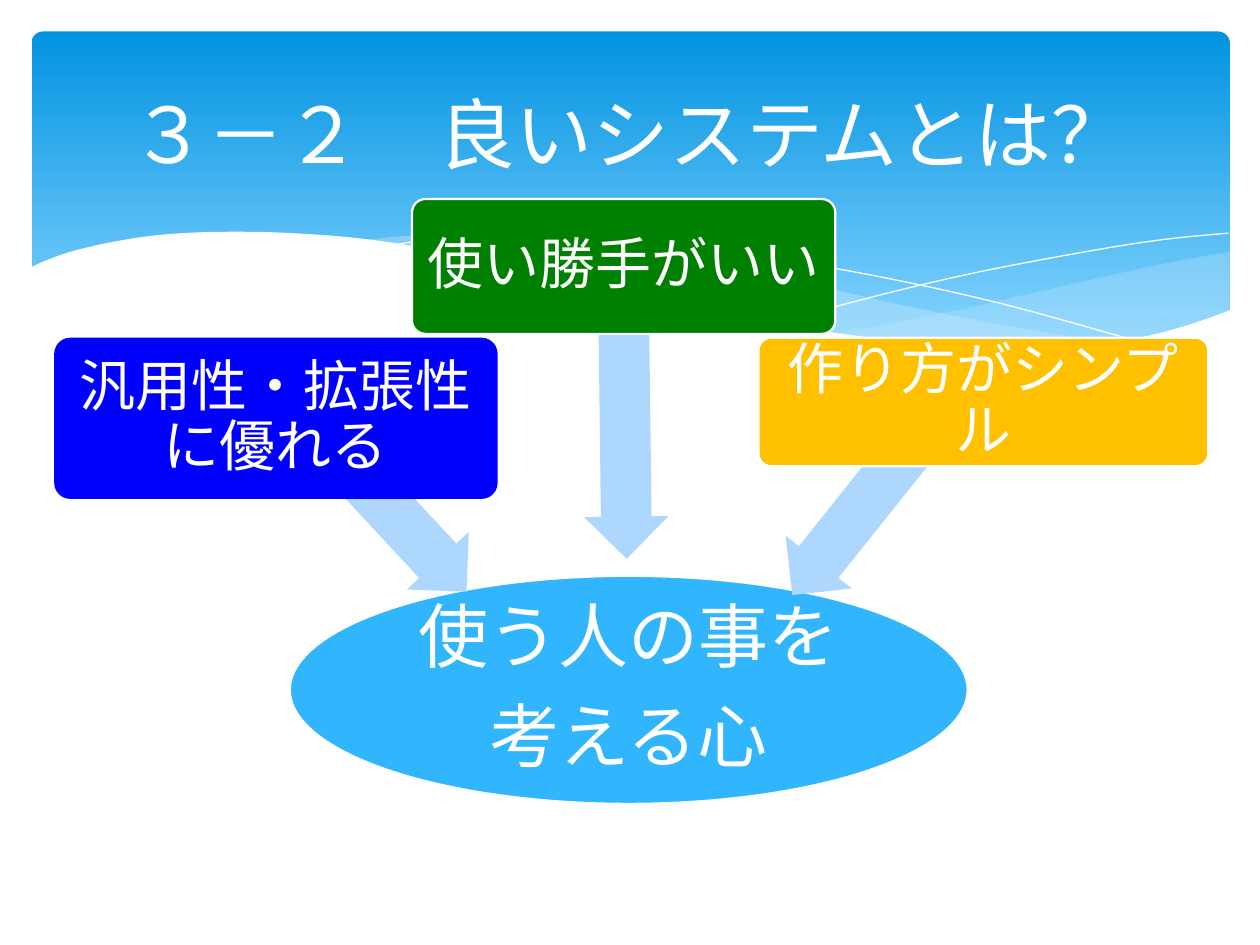
from lxml import etree
from pptx import Presentation
from pptx import util as u
from pptx.dml.color import RGBColor
from pptx.enum import shapes, text
from pptx.oxml.ns import qn

WHITE = "FFFFFF"
SKY = "C6E7FC"
ARROW = "AED7FE"


def rgb(value):
    return RGBColor.from_string(value)


def smooth(keys, steps=4):
    ends = [keys[0]] + keys + [keys[-1]]
    points = [keys[0]]
    for a, b, c, d in zip(ends, ends[1:], ends[2:], ends[3:]):
        for i in range(1, steps + 1):
            t = i / steps
            points.append(tuple(
                q + t * (r - p + t * (2 * p - 5 * q + 4 * r - s + t * (3 * (q - r) + s - p))) / 2
                for p, q, r, s in zip(a, b, c, d)))
    return points


class Deck:
    font = "Calibri"

    def __init__(self, prs):
        self.slide = prs.slides.add_slide(prs.slide_layouts[5])

    def paint(self, sp, fill=None, line=None, width=0, alpha=None):
        sp.shadow.inherit = False
        if fill:
            sp.fill.solid()
            sp.fill.fore_color.rgb = rgb(fill)
        else:
            sp.fill.background()
        if alpha:
            color = sp.element.spPr.find(qn("a:solidFill")).find(qn("a:srgbClr"))
            etree.SubElement(color, qn("a:alpha"), val=str(alpha * 1000))
        if line:
            sp.line.color.rgb = rgb(line)
            sp.line.width = u.Pt(width)
        else:
            sp.line.fill.background()

    def shape(self, kind, box, adjust=(), turn=0, **style):
        sp = self.slide.shapes.add_shape(kind, *map(u.Inches, box))
        for i, value in enumerate(adjust):
            sp.adjustments[i] = value
        sp.rotation = turn
        self.paint(sp, **style)
        return sp

    def free(self, points, close=True, **style):
        points = [(u.Inches(x), u.Inches(y)) for x, y in points]
        builder = self.slide.shapes.build_freeform(*points[0])
        builder.add_line_segments(points[1:], close=close)
        self.paint(builder.convert_to_shape(), **style)

    def words(self, sp, lines, size, inset, **spacing):
        tf = sp.text_frame
        margins = dict.fromkeys(
            ("margin_left", "margin_top", "margin_right", "margin_bottom"), u.Inches(inset))
        frame = dict(margins, word_wrap=True, auto_size=text.MSO_AUTO_SIZE.NONE,
                     vertical_anchor=text.MSO_ANCHOR.MIDDLE)
        for name, value in frame.items():
            setattr(tf, name, value)
        for i, line in enumerate(lines):
            p = tf.add_paragraph() if i else tf.paragraphs[0]
            for name, value in dict(spacing, alignment=text.PP_ALIGN.CENTER).items():
                setattr(p, name, value)
            r = p.add_run()
            r.text = line
            for name, value in {"name": self.font, "size": u.Pt(size)}.items():
                setattr(r.font, name, value)
            r.font.color.rgb = rgb(WHITE)

    def label(self, sp, lines, size, inset):
        self.words(sp, lines, size, inset, line_spacing=0.9, space_after=u.Pt(size * 0.35))

    def title(self, line, box, size):
        sp = self.slide.shapes.title
        for name, value in zip(("left", "top", "width", "height"), box):
            setattr(sp, name, u.Inches(value))
        self.words(sp, [line], size, 0.05)
        sp.element.getparent().append(sp.element)

    def banner(self, box, stops, corner):
        sp = self.shape(shapes.MSO_SHAPE.ROUNDED_RECTANGLE, box, [corner])
        sp.fill.gradient()
        sp.fill.gradient_angle = 270
        for stop, (position, color) in zip(sp.fill.gradient_stops, stops):
            stop.position = position
            stop.color.rgb = rgb(color)


prs = Presentation()
prs.slide_width, prs.slide_height = u.Inches(10), u.Inches(7.5)
deck = Deck(prs)

deck.banner((0.25, 0.25, 9.51, 2.7), [(0, "0293E0"), (0.9, "83D3FE")], 0.034)

right_top = [(9.76, 2), (9.35, 2.07), (8.61, 2.23), (7.79, 2.42), (7.06, 2.57), (6.61, 2.65)]
right_bottom = [(6.61, 2.65), (7.05, 2.71), (7.57, 2.76), (8.03, 2.78), (8.54, 2.76),
                (9.05, 2.69), (9.42, 2.59), (9.76, 2.47)]
deck.free(smooth(right_top) + smooth(right_bottom), fill=SKY, alpha=29)

middle_top = [(8.93, 2.73), (8.37, 2.65), (7.75, 2.54), (7.06, 2.4), (6.29, 2.22), (5.69, 2.08),
              (5.14, 1.98), (4.65, 1.91), (4.2, 1.87), (3.61, 1.85), (3.13, 1.88), (2.86, 1.91)]
middle_bottom = [(2.86, 1.91), (3.42, 1.99), (4.04, 2.11), (4.91, 2.32), (5.66, 2.48),
                 (6.34, 2.61), (6.95, 2.7), (7.48, 2.76), (8.07, 2.78), (8.57, 2.77), (8.93, 2.73)]
deck.free(smooth(middle_top) + smooth(middle_bottom), fill=SKY, alpha=40)

falling = [(3.09, 1.95), (3.44, 1.9), (4.01, 1.87), (4.69, 1.89), (5.33, 1.94), (6.08, 2.04),
           (6.95, 2.19), (7.95, 2.41), (9.07, 2.72)]
rising = [(6.13, 2.57), (6.95, 2.35), (7.76, 2.16), (8.66, 1.99), (9.24, 1.9), (9.75, 1.85)]
for strand in (falling, rising):
    deck.free(smooth(strand), close=False, line=WHITE)

wave = [(9.77, 2.46), (9.4, 2.59), (8.99, 2.69), (8.5, 2.75), (8.09, 2.77), (7.44, 2.74),
        (6.68, 2.65), (6.03, 2.54), (5.29, 2.39), (4.47, 2.2), (3.65, 2.02), (2.92, 1.9),
        (2.3, 1.85), (1.77, 1.84), (1.32, 1.86), (0.95, 1.91), (0.59, 1.99), (0.36, 2.07),
        (0.23, 2.13)]
deck.free(smooth(wave) + [(0.23, 3.29), (9.77, 3.29)], fill=WHITE)

heart = deck.shape(shapes.MSO_SHAPE.OVAL, (2.3, 4.57, 5.38, 1.81),
                   fill="31B6FD", line=WHITE, width=1.25)
deck.label(heart, ["使う人の事を", "考える心"], 40, 0.03)

qualities = [
    ("汎用性・拡張性に優れる", (0.43, 2.68, 3.52, 1.28), "0000FF", None, (1.98, 3.61, 2.05, 0.67), 227.1),
    ("使い勝手がいい", (3.27, 1.58, 3.36, 1.07), "008000", WHITE, (3.8, 2.94, 2.32, 0.67), 269.3),
    ("作り方がシンプル", (6.02, 2.68, 3.57, 1.02), "FFC000", WHITE, (5.88, 3.54, 2.17, 0.67), 308.6),
]
for phrase, box, fill, line, arrow_box, turn in qualities:
    deck.shape(shapes.MSO_SHAPE.LEFT_ARROW, arrow_box, (0.6, 0.5), turn, fill=ARROW)
    quality = deck.shape(shapes.MSO_SHAPE.ROUNDED_RECTANGLE, box, [0.1],
                         fill=fill, line=line, width=1.25)
    deck.label(quality, [phrase], 32, 0.07)

deck.title("３－２　良いシステムとは？", (0.5, 0.37, 9, 1.37), 44)

prs.save("out.pptx")
